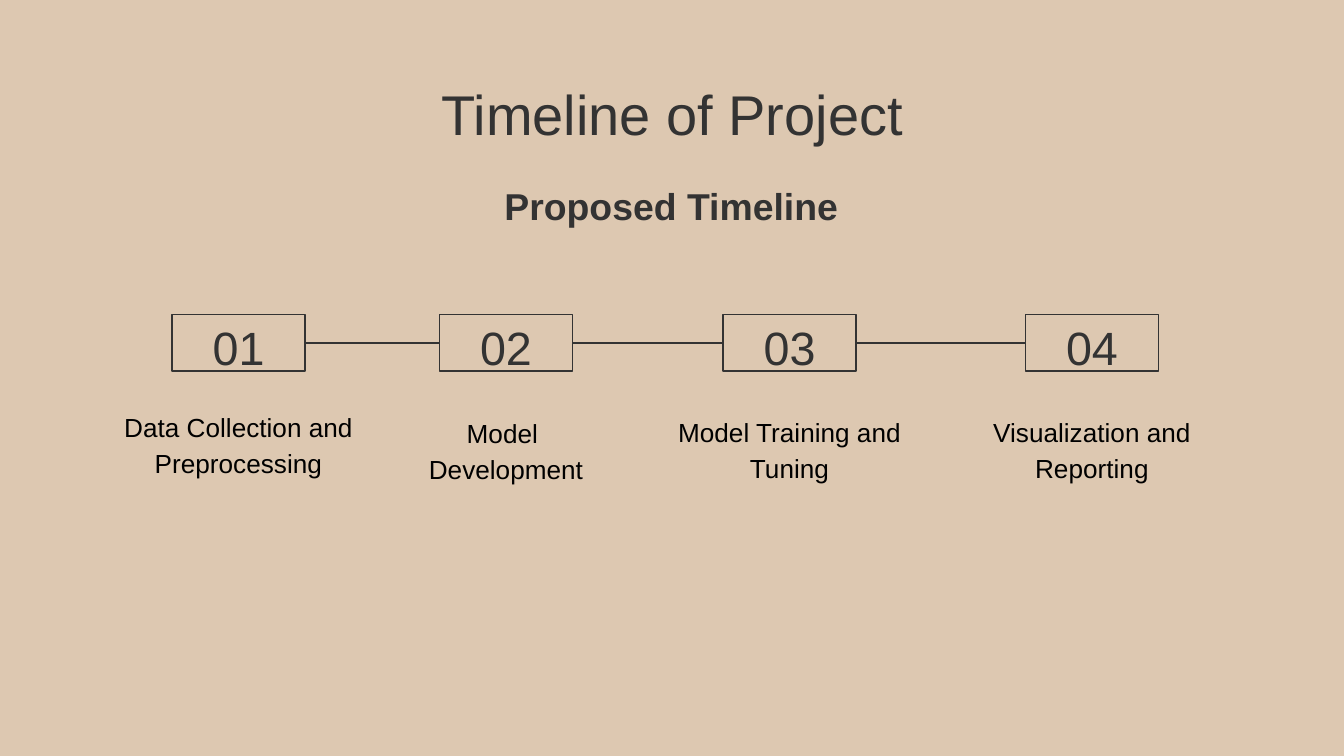
from itertools import pairwise

from lxml.etree import SubElement
from pptx import Presentation
from pptx.dml.color import RGBColor
from pptx.enum.shapes import MSO_CONNECTOR, MSO_SHAPE
from pptx.enum.text import MSO_ANCHOR, PP_ALIGN
from pptx.oxml.ns import qn
from pptx.util import Pt

# Content
TITLE = "Timeline of Project"
SUBTITLE = "Proposed Timeline"
# number, centre, label lines, label top, label height, label anchor
STEPS = [
    ("01", 127.8, ["Data Collection and Preprocessing"], 224.6, 38.9, MSO_ANCHOR.BOTTOM),
    ("02", 271.1, ["Model ", "Development"], 213.8, 49.7, MSO_ANCHOR.TOP),
    ("03", 423, ["Model Training and Tuning"], 213.1, 49.7, MSO_ANCHOR.TOP),
    ("04", 585, ["Visualization and Reporting"], 213.1, 49.7, MSO_ANCHOR.TOP),
]

# Look
SAND, INK, BLACK = "DDC8B1", "333333", "000000"
BOX_TOP, BOX_WIDTH, BOX_HEIGHT = 168.6, 71.3, 30.2
LABEL_WIDTH = 156.2
LINE_WIDTH = 0.75


def paint(target, color):
    """Give a fill or a line a solid colour."""
    fill = target.fill if hasattr(target, "fill") else target
    fill.solid()
    fill.fore_color.rgb = RGBColor.from_string(color)


def write(shape, lines, size, color, anchor, spacing=1.0, bold=False):
    frame = shape.text_frame
    frame.word_wrap = True
    frame.vertical_anchor = anchor
    frame.margin_left = frame.margin_right = Pt(7.2)
    frame.margin_top = frame.margin_bottom = Pt(7.2)
    frame.text = "\n".join(lines)
    for para in frame.paragraphs:
        para.alignment = PP_ALIGN.CENTER
        para.line_spacing = spacing
        para.font.name = "Arial"
        para.font.size = Pt(size)
        para.font.bold = bold
        para.font.color.rgb = RGBColor.from_string(color)


deck = Presentation()
deck.slide_width, deck.slide_height = Pt(720), Pt(405)
page = deck.slides.add_slide(deck.slide_layouts[5])
paint(page.background, SAND)

# Headings
title = page.shapes.title
title.left, title.top, title.width, title.height = Pt(56.7), Pt(35.3), Pt(607), Pt(45.4)
write(title, [TITLE], 30, INK, MSO_ANCHOR.TOP)
subtitle = page.shapes.add_textbox(Pt(260), Pt(91.4), Pt(199.4), Pt(38.2))
write(subtitle, [SUBTITLE], 20, INK, MSO_ANCHOR.BOTTOM, bold=True)

# Numbered boxes with their labels
boxes = []
for number, center, lines, top, height, anchor in STEPS:
    label = page.shapes.add_textbox(
        Pt(center - LABEL_WIDTH / 2), Pt(top), Pt(LABEL_WIDTH), Pt(height))
    write(label, lines, 14, BLACK, anchor, spacing=1.15)

    box = page.shapes.add_shape(
        MSO_SHAPE.RECTANGLE,
        Pt(center - BOX_WIDTH / 2), Pt(BOX_TOP), Pt(BOX_WIDTH), Pt(BOX_HEIGHT))
    box.shadow.inherit = False
    paint(box, SAND)
    paint(box.line, INK)
    box.line.width = Pt(LINE_WIDTH)
    write(box, [number], 25, INK, MSO_ANCHOR.MIDDLE, spacing=1.15)
    boxes.append(box)

# Lines between neighbouring boxes
for before, after in pairwise(boxes):
    link = page.shapes.add_connector(MSO_CONNECTOR.STRAIGHT, 0, 0, 0, 0)
    link.begin_connect(before, 3)
    link.end_connect(after, 1)
    paint(link.line, INK)
    link.line.width = Pt(LINE_WIDTH)
    SubElement(link._element.spPr, qn("a:effectLst"))

deck.save("out.pptx")
